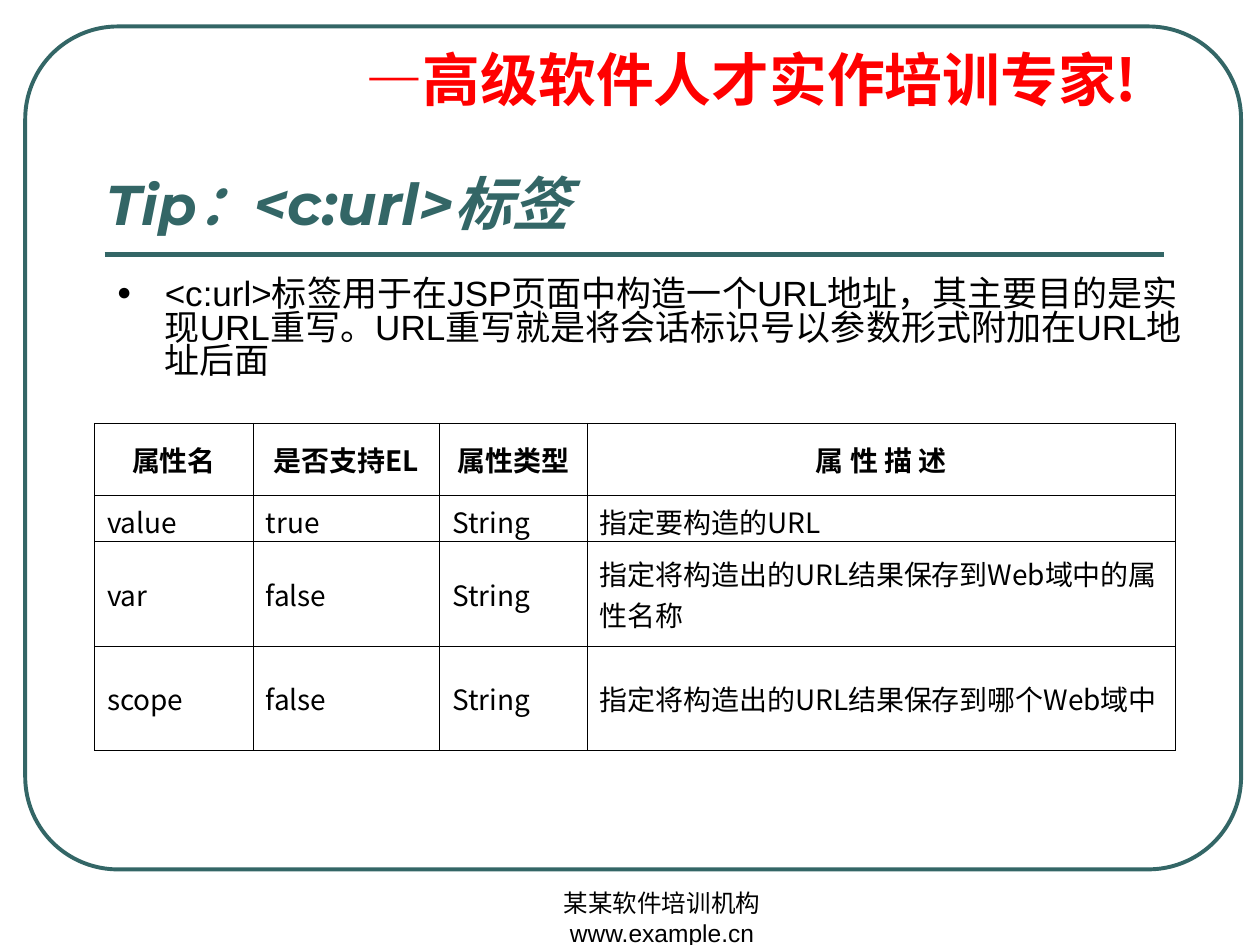
from lxml.etree import SubElement
from pptx import Presentation
from pptx.dml.color import RGBColor
from pptx.enum.shapes import MSO_CONNECTOR, MSO_SHAPE
from pptx.enum.text import MSO_ANCHOR, PP_ALIGN
from pptx.oxml.ns import qn
from pptx.util import Inches, Pt

TEAL = RGBColor(0x33, 0x66, 0x66)
RED = RGBColor(0xFF, 0x00, 0x00)
BLACK = RGBColor(0x00, 0x00, 0x00)
CJK = "Noto Sans CJK SC"
HEADING = "Montserrat"
BODY = "Arial"

COLUMNS = [1.26, 1.48, 1.17, 4.67]
ROWS = [0.57, 0.37, 0.83, 0.83]
ATTRIBUTES = [
    ["属性名", "是否支持EL", "属性类型", "属 性 描 述"],
    ["value", "true", "String", "指定要构造的URL"],
    ["var", "false", "String", "指定将构造出的URL结果保存到Web域中的属性名称"],
    ["scope", "false", "String", "指定将构造出的URL结果保存到哪个Web域中"],
]


def set_all(obj, values):
    for name, value in values.items():
        setattr(obj, name, value)


def add_run(p, text, size, name, color, **styles):
    r = p.add_run()
    r.text = text
    set_all(r.font, {"size": Pt(size), "name": name, **styles})
    r.font.color.rgb = color
    SubElement(r.font._element, qn("a:ea"), typeface=CJK)


def add_text(s, box, runs, anchor=MSO_ANCHOR.TOP, hanging=False, **paragraph):
    tf = s.shapes.add_textbox(*map(Inches, box)).text_frame
    set_all(tf, {"word_wrap": True, "vertical_anchor": anchor})
    p = tf.paragraphs[0]
    set_all(p, paragraph)
    if hanging:
        indent = Inches(0.38)
        p._p.get_or_add_pPr().set("marL", str(indent))
        p._p.get_or_add_pPr().set("indent", str(-indent))
    for text, size, name, color, styles in runs:
        add_run(p, text, size, name, color, **styles)
    return p


def add_bullet(p):
    pPr = p._p.get_or_add_pPr()
    SubElement(pPr, qn("a:buSzPct"), val="70000")
    SubElement(pPr, qn("a:buFont"), typeface=BODY)
    SubElement(pPr, qn("a:buChar"), char="●")


def add_frame(s):
    sp = s.shapes.add_shape(MSO_SHAPE.ROUNDED_RECTANGLE,
                            *map(Inches, (0.2, 0.21, 9.65, 6.69)))
    sp.adjustments[0] = 0.11
    sp.shadow.inherit = False
    sp.fill.background()
    sp.line.color.rgb = TEAL
    sp.line.width = Pt(2.25)


def add_rule(s):
    line = s.shapes.add_connector(MSO_CONNECTOR.STRAIGHT,
                                  *map(Inches, (0.83, 2.02, 9.24, 2.02)))
    line.line.color.rgb = TEAL
    line.line.width = Pt(3)
    SubElement(line._element.spPr, qn("a:effectLst"))


def add_borders(cell):
    """Draw thin black lines on the four sides of an unfilled cell."""
    tcPr = cell._tc.get_or_add_tcPr()
    for side in ("lnL", "lnR", "lnT", "lnB"):
        ln = SubElement(tcPr, qn(f"a:{side}"), w=str(Pt(0.45)))
        fill = SubElement(ln, qn("a:solidFill"))
        SubElement(fill, qn("a:srgbClr"), val=str(BLACK))
    cell.fill.background()


def add_attribute_table(s):
    table = s.shapes.add_table(
        len(ROWS), len(COLUMNS),
        *map(Inches, (0.75, 3.36, sum(COLUMNS), sum(ROWS)))).table
    set_all(table, {"first_row": False, "horz_banding": False})
    for column, width in zip(table.columns, COLUMNS):
        column.width = Inches(width)
    for i, (row, height) in enumerate(zip(table.rows, ROWS)):
        row.height = Inches(height)
        header = i == 0
        for cell, text in zip(row.cells, ATTRIBUTES[i]):
            cell.vertical_anchor = MSO_ANCHOR.MIDDLE
            add_borders(cell)
            p = cell.text_frame.paragraphs[0]
            p.alignment = PP_ALIGN.CENTER if header else PP_ALIGN.LEFT
            add_run(p, text, 16, CJK, BLACK, bold=header)


def main():
    prs = Presentation()
    set_all(prs, {"slide_width": Inches(10), "slide_height": Inches(7.5)})
    s = prs.slides.add_slide(prs.slide_layouts[6])

    add_frame(s)
    add_rule(s)
    bold = {"bold": True}
    add_text(s, (2.8, 0.36, 6.3, 1.09),
             [("—", 33, HEADING, RED, bold),
              ("高级软件人才实作培训专家!", 33, CJK, RED, bold)],
             hanging=True, line_spacing=0.9, space_before=Pt(8.2))
    add_text(s, (3.67, 7, 3.17, 0.5),
             [("某某软件培训机构 www.example.cn", 14, BODY, BLACK, {})],
             alignment=PP_ALIGN.CENTER)
    slanted = {"bold": True, "italic": True}
    add_text(s, (0.75, 0.36, 8.42, 1.57),
             [("Tip：", 32, HEADING, TEAL, slanted),
              ("<c:url>标签", 33, HEADING, TEAL, slanted)],
             anchor=MSO_ANCHOR.BOTTOM)
    summary = ("<c:url>标签用于在JSP页面中构造一个URL地址，其主要目的是实现URL重写。"
               "URL重写就是将会话标识号以参数形式附加在URL地址后面")
    add_bullet(add_text(s, (0.83, 2.17, 8.66, 1.1),
                        [(summary, 20, BODY, BLACK, {})],
                        hanging=True, line_spacing=0.8, space_before=Pt(5)))
    add_attribute_table(s)
    prs.save("out.pptx")


if __name__ == "__main__":
    main()
